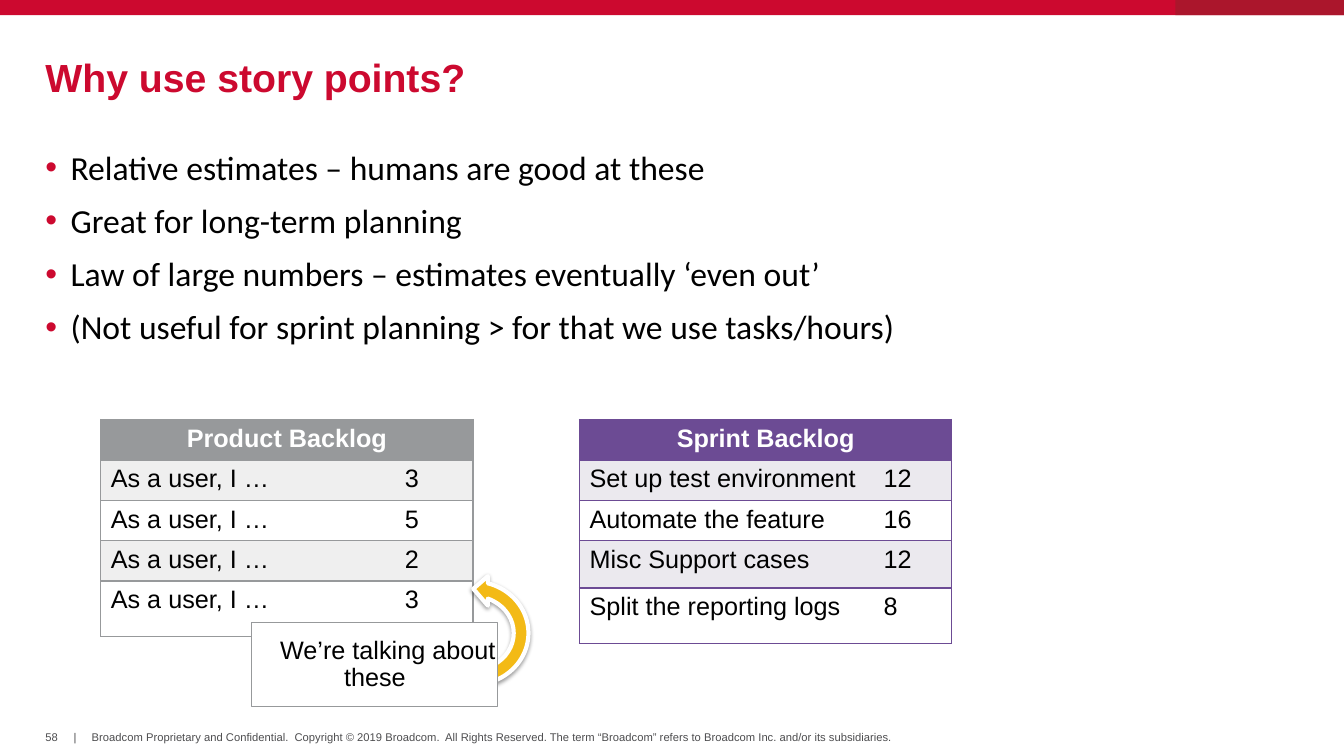
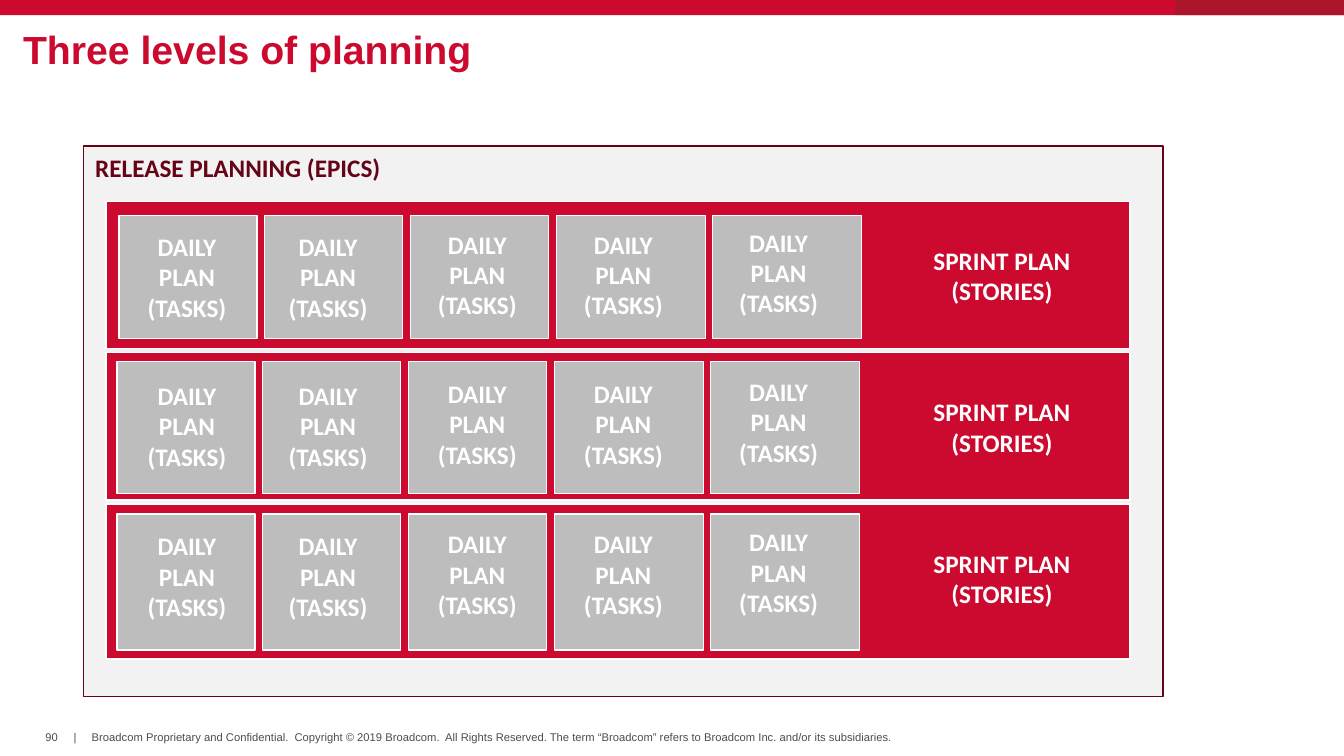
from dataclasses import dataclass

from lxml.etree import SubElement
from pptx import Presentation
from pptx.dml.color import RGBColor
from pptx.enum.shapes import MSO_SHAPE
from pptx.enum.text import MSO_ANCHOR, PP_ALIGN
from pptx.oxml.ns import qn
from pptx.util import Emu, Inches, Pt


@dataclass(frozen=True)
class Theme:
    # Colours
    red: str = "CC092F"
    dark_red: str = "AB162C"
    maroon: str = "660417"
    purple: str = "6C4B94"
    purple_tint: str = "EBE9EE"
    gray: str = "97999B"
    gray_tint: str = "EFEFEF"
    panel: str = "F2F2F2"
    tile: str = "BDBDBD"
    yellow: str = "F3BA16"
    footer: str = "4D4D4F"
    white: str = "FFFFFF"
    black: str = "000000"
    # Fonts and sizes in points
    heading_font: str = "Arial"
    body_font: str = "Calibri"
    title_size: int = 28
    body_size: int = 24
    label_size: int = 18
    footer_size: int = 8


THEME = Theme()
COPYRIGHT = (
    "Broadcom Proprietary and Confidential.  Copyright © 2019 Broadcom.  All Rights Reserved. "
    "The term “Broadcom” refers to Broadcom Inc. and/or its subsidiaries."
)


@dataclass(frozen=True)
class Box:
    left: float
    top: float
    width: float
    height: float

    def inner(self, left, top, width, height):
        """Return an inner box, given in percent of this one."""
        return Box(
            self.left + self.width * left / 100,
            self.top + self.height * top / 100,
            self.width * width / 100,
            self.height * height / 100,
        )

    def place(self):
        return [Emu(round(v)) for v in (self.left, self.top, self.width, self.height)]


PAGE = Box(0, 0, Inches(13.33), Inches(7.5))


def write_text(frame, lines, *, size=THEME.label_size, font=THEME.heading_font,
               color=THEME.black, bold=False, align=PP_ALIGN.LEFT, spacing=1.0,
               before=0, bullet=None, anchor=MSO_ANCHOR.TOP, margins=(0, 0), wrap=True):
    frame.word_wrap = wrap
    frame.vertical_anchor = anchor
    frame.margin_left = frame.margin_right = Inches(margins[0])
    frame.margin_top = frame.margin_bottom = Inches(margins[1])
    for index, line in enumerate(lines):
        para = frame.add_paragraph() if index else frame.paragraphs[0]
        if bullet:
            add_bullet(para, bullet)
        para.alignment = align
        para.line_spacing = spacing
        para.space_before = Pt(before if index else 0)
        span = para.add_run()
        span.text = line
        span.font.name = font
        span.font.size = Pt(size)
        span.font.bold = bold
        span.font.color.rgb = RGBColor.from_string(color)


def indent(para, left, first=0):
    properties = para._p.get_or_add_pPr()
    properties.set("marL", str(Inches(left)))
    properties.set("indent", str(Inches(first)))
    return properties


def add_bullet(para, color):
    properties = indent(para, 0.25, -0.25)
    SubElement(SubElement(properties, qn("a:buClr")), qn("a:srgbClr")).set("val", color)
    SubElement(properties, qn("a:buFont")).set("typeface", THEME.heading_font)
    SubElement(properties, qn("a:buChar")).set("char", "•")


def add_text(page, box, lines, **text_format):
    frame = page.shapes.add_textbox(*box.place()).text_frame
    write_text(frame, lines, **text_format)


def add_block(page, box, fill, line=None, line_width=1, kind=MSO_SHAPE.RECTANGLE):
    block = page.shapes.add_shape(kind, *box.place())
    block.shadow.inherit = False
    block.fill.solid()
    block.fill.fore_color.rgb = RGBColor.from_string(fill)
    if line:
        block.line.color.rgb = RGBColor.from_string(line)
        block.line.width = Pt(line_width)
    else:
        block.line.fill.background()
    return block


def add_page(deck, number, title, title_box):
    """Start a slide with the shared band, footer and title."""
    page = deck.slides.add_slide(deck.slide_layouts[6])
    footer = PAGE.inner(3.38, 96.67, 93.24, 1.73)
    for left, width, text in ((0, 2, number), (2.25, 1, "|"), (3.7, 64.45, COPYRIGHT)):
        add_text(page, footer.inner(left, 0, width, 100), [text], size=THEME.footer_size,
                 color=THEME.footer, anchor=MSO_ANCHOR.MIDDLE, wrap=False)
    band = PAGE.inner(0, 0, 100, 2)
    add_block(page, band, THEME.red)
    add_block(page, band.inner(87.45, 0, 12.55, 100), THEME.dark_red)
    add_text(page, title_box, [title], size=THEME.title_size, color=THEME.red,
             bold=True, spacing=0.85, anchor=MSO_ANCHOR.MIDDLE)
    return page


def set_borders(cell, color, visible):
    """Draw the named sides of a cell and hide the others."""
    properties = cell._tc.get_or_add_tcPr()
    for position, side in enumerate("LRTB"):
        edge = SubElement(properties, qn(f"a:ln{side}"))
        edge.set("w", str(Pt(1)))
        if side in visible:
            fill = SubElement(edge, qn("a:solidFill"))
            SubElement(fill, qn("a:srgbClr")).set("val", color)
        else:
            SubElement(edge, qn("a:noFill"))
        properties.insert(position, edge)


def add_backlog(page, box, heading, items, color, tint, row_weights):
    rows = [(heading, ""), *items]
    table = page.shapes.add_table(len(rows), 2, *box.place()).table
    table.first_row = table.horz_banding = False
    for column, share in zip(table.columns, (0.79, 0.21)):
        column.width = Emu(round(box.width * share))
    for row, weight in zip(table.rows, row_weights):
        row.height = Emu(round(box.height * weight / sum(row_weights)))
    table.cell(0, 0).merge(table.cell(0, 1))
    for row_index, values in enumerate(rows):
        is_heading = row_index == 0
        fill = color if is_heading else tint if row_index % 2 else THEME.white
        for column_index, value in enumerate(values):
            cell = table.cell(row_index, column_index)
            cell.fill.solid()
            cell.fill.fore_color.rgb = RGBColor.from_string(fill)
            set_borders(cell, color, "LRTB" if is_heading else ("LTB", "RTB")[column_index])
            if value:
                write_text(cell.text_frame, [value], bold=is_heading, margins=(0.1, 0.05),
                           color=THEME.white if is_heading else THEME.black,
                           align=PP_ALIGN.CENTER if is_heading else PP_ALIGN.LEFT)


def add_turn_arrow(page, box):
    arrow = add_block(page, box, THEME.yellow, THEME.white, 3, MSO_SHAPE.CIRCULAR_ARROW)
    arrow.rotation = 90
    properties = arrow._element.spPr
    properties.find(qn("a:xfrm")).set("flipH", "1")
    shadow = SubElement(properties.find(qn("a:effectLst")), qn("a:outerShdw"))
    for name, value in (("blurRad", Pt(3.1)), ("dist", Pt(1.6)), ("dir", 90 * 60000)):
        shadow.set(name, str(value))
    shadow.set("rotWithShape", "0")
    black = SubElement(shadow, qn("a:srgbClr"))
    black.set("val", THEME.black)
    SubElement(black, qn("a:alpha")).set("val", "38000")


def add_callout(page, box, lines):
    callout = add_block(page, box, THEME.white, THEME.gray, 0.75)
    write_text(callout.text_frame, lines, spacing=0.9, anchor=MSO_ANCHOR.MIDDLE, wrap=False)
    first, last = callout.text_frame.paragraphs
    indent(first, 0.28)
    last.alignment = PP_ALIGN.CENTER


def build_story_points(deck):
    page = add_page(deck, "58", "Why use story points?", PAGE.inner(3.38, 8, 93.24, 5.33))
    add_text(page, PAGE.inner(3.38, 20, 93.24, 40.27), [
        "Relative estimates – humans are good at these",
        "Great for long-term planning",
        "Law of large numbers – estimates eventually ‘even out’",
        "(Not useful for sprint planning > for that we use tasks/hours)",
    ], size=THEME.body_size, font=THEME.body_font, spacing=0.9, before=12, bullet=THEME.red)
    # Backlogs, with a callout on the first
    add_backlog(page, PAGE.inner(7.5, 55.5, 27.7, 27.6), "Product Backlog",
                [("As a user, I …", points) for points in "3523"],
                THEME.gray, THEME.gray_tint, (38, 38, 38, 38, 55))
    add_turn_arrow(page, PAGE.inner(30.83, 75.47, 8.78, 16.53))
    add_callout(page, PAGE.inner(18.75, 82.4, 18.3, 11.07), ["We’re talking about", "these"])
    add_backlog(page, PAGE.inner(43.12, 55.5, 27.7, 28.8), "Sprint Backlog", [
        ("Set up test environment", "12"),
        ("Automate the feature", "16"),
        ("Misc Support cases", "12"),
        ("Split the reporting logs", "8"),
    ], THEME.purple, THEME.purple_tint, (38, 38, 38, 47, 55))


def add_sprint(page, box, band_height, tile_left, tile_top, tile_height, caption_top):
    """Draw one sprint band with its five daily plans."""
    label = dict(font=THEME.body_font, color=THEME.white, bold=True,
                 align=PP_ALIGN.CENTER, anchor=MSO_ANCHOR.MIDDLE, margins=(0.12, 0.05))
    add_block(page, box.inner(0, 0, 100, band_height), THEME.red, THEME.white)
    add_text(page, box.inner(77.76, 26.03, 19.49, 48.63), ["SPRINT PLAN", "(STORIES)"], **label)
    # Each day: tile offset, tile width, caption left, caption lift
    days = (
        (0, 13.48, 1.08, 0),
        (14.22, 13.48, 14.86, 0),
        (28.45, 13.48, 29.43, 1.37),
        (42.72, 14.57, 43.7, 1.37),
        (57.97, 14.57, 58.86, 2.74),
    )
    for offset, width, caption_left, lift in days:
        tile = box.inner(tile_left + offset, tile_top, width, tile_height)
        add_block(page, tile, THEME.tile, THEME.white)
        add_text(page, box.inner(caption_left, caption_top - lift, 13.68, 69.18),
                 ["DAILY PLAN", "(TASKS)"], **label)


def build_planning_levels(deck):
    page = add_page(deck, "90", "Three levels of planning", PAGE.inner(1.72, 4.27, 93.24, 5.33))
    release = PAGE.inner(6.23, 19.33, 80.32, 72.8)
    add_block(page, release, THEME.panel, THEME.maroon)
    add_text(page, release.inner(0, 0.2, 28.57, 7.33), ["RELEASE PLANNING (EPICS)"],
             font=THEME.body_font, color=THEME.maroon, bold=True, align=PP_ALIGN.CENTER,
             anchor=MSO_ANCHOR.MIDDLE, margins=(0.1, 0.05), wrap=False)
    # Sprints: band height, tile left, tile top, tile height, caption top
    sprints = (
        (100, 1.28, 9.59, 83.56, 16.44),
        (100, 1.08, 6.16, 89.73, 15.07),
        (105.48, 1.08, 6.85, 92.47, 14.38),
    )
    for index, sprint in enumerate(sprints):
        add_sprint(page, release.inner(2.05, 10.07 + 27.47 * index, 94.86, 26.74), *sprint)


def main():
    deck = Presentation()
    deck.slide_width, deck.slide_height = PAGE.width, PAGE.height
    build_story_points(deck)
    build_planning_levels(deck)
    deck.save("out.pptx")


if __name__ == "__main__":
    main()
